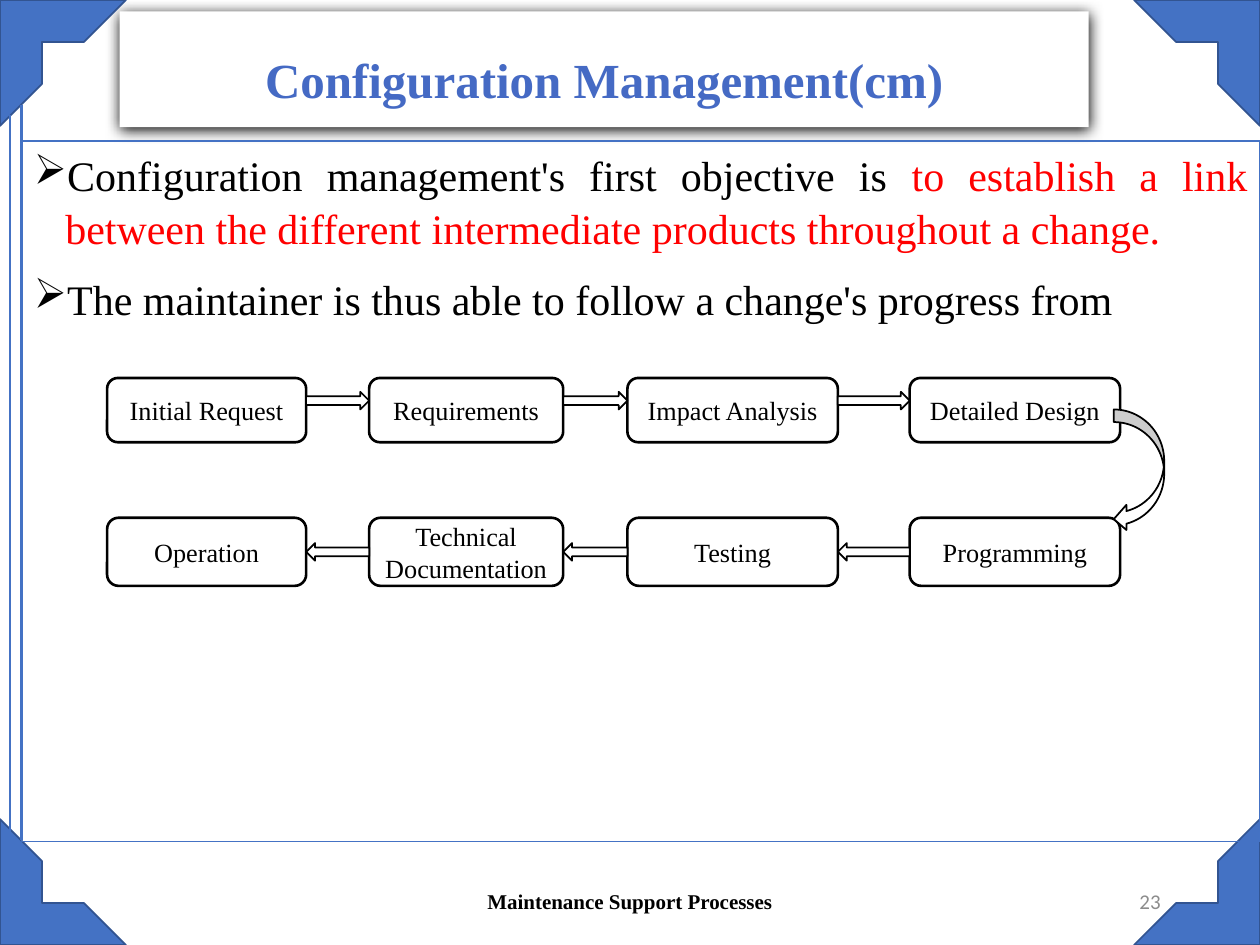
from lxml.etree import SubElement
from pptx import Presentation
from pptx.dml.color import RGBColor
from pptx.enum.shapes import MSO_CONNECTOR, MSO_SHAPE
from pptx.enum.text import MSO_ANCHOR, PP_ALIGN
from pptx.oxml.ns import qn
from pptx.util import Inches, Pt

BLUE = RGBColor(0x44, 0x72, 0xC4)
DARK_BLUE = RGBColor(0x32, 0x54, 0x91)
TITLE_BLUE = RGBColor(0x45, 0x6A, 0xC4)
BLACK = RGBColor(0, 0, 0)
WHITE = RGBColor(0xFF, 0xFF, 0xFF)
RED = RGBColor(0xFF, 0, 0)
GRAY = RGBColor(0x8C, 0x8C, 0x8C)
SERIF = "Times New Roman"

COLUMNS = [(0.85, 1.58), (2.93, 1.54), (4.98, 1.67), (7.22, 1.67)]
FORWARD_STEPS = ["Initial Request", "Requirements", "Impact Analysis", "Detailed Design"]
RETURN_STEPS = ["Operation", "Technical Documentation", "Testing", "Programming"]
BODY = [
    [("Configuration management's first objective is ", BLACK),
     ("to establish a link between the different intermediate products throughout a change.", RED)],
    [("The maintainer is thus able to follow a change's progress from", BLACK)],
]


def style_font(font, size, color, name=SERIF, bold=False):
    font.size = Pt(size)
    font.color.rgb = color
    font.name = name
    font.bold = bold


def add_outlined(slide, preset, left, top, width, height, fill, line, line_width):
    shape = slide.shapes.add_shape(
        preset, Inches(left), Inches(top), Inches(width), Inches(height))
    shape.shadow.inherit = False
    if fill is None:
        shape.fill.background()
    else:
        shape.fill.solid()
        shape.fill.fore_color.rgb = fill
    shape.line.color.rgb = line
    shape.line.width = Pt(line_width)
    return shape


def add_frame(slide, left, top, width, height):
    size = 1
    right, bottom = left + width - size, top + height - size
    corners = [(left, top), (right, top), (right, bottom), (left, bottom)]
    for turn, (x, y) in enumerate(corners):
        corner = add_outlined(
            slide, MSO_SHAPE.HALF_FRAME, x, y, size, size, BLUE, DARK_BLUE, 1)
        corner.rotation = 90 * turn
    for offset, start, end in [(0.08, 0.91, 6.61), (0.17, 0.83, 6.67)]:
        rail = slide.shapes.add_connector(
            MSO_CONNECTOR.STRAIGHT, Inches(left + offset), Inches(top + start),
            Inches(left + offset), Inches(top + end))
        rail.line.color.rgb = BLUE
        rail.line.width = Pt(1.5)
        SubElement(rail._element.spPr, qn("a:effectLst"))


def add_title(slide, left, top, width, height):
    title = slide.shapes.title
    title.left, title.top = Inches(left), Inches(top)
    title.width, title.height = Inches(width), Inches(height)
    title.fill.solid()
    title.fill.fore_color.rgb = WHITE
    effects = SubElement(title._element.spPr, qn("a:effectLst"))
    shadow = SubElement(effects, qn("a:outerShdw"), blurRad=str(Pt(8.5)),
                        dist=str(Pt(1)), dir="5400000", algn="t", rotWithShape="0")
    SubElement(shadow, qn("a:srgbClr"), val=str(BLACK))
    frame = title.text_frame
    frame.text = "Configuration Management(cm)"
    frame.vertical_anchor = MSO_ANCHOR.MIDDLE
    frame.margin_top, frame.margin_bottom = Inches(0.2), Inches(0.05)
    paragraph = frame.paragraphs[0]
    paragraph.alignment = PP_ALIGN.CENTER
    style_font(paragraph.runs[0].font, 28, TITLE_BLUE, bold=True)


def add_body(slide, left, top, width, height):
    body = add_outlined(
        slide, MSO_SHAPE.RECTANGLE, left, top, width, height, None, BLUE, 0.75)
    frame = body.text_frame
    frame.word_wrap = True
    frame.vertical_anchor = MSO_ANCHOR.TOP
    for index, parts in enumerate(BODY):
        paragraph = frame.paragraphs[0] if index == 0 else frame.add_paragraph()
        paragraph.alignment = PP_ALIGN.JUSTIFY
        paragraph.line_spacing = 1.05
        paragraph.space_before = Pt(10 if index else 0)
        properties = paragraph._p.get_or_add_pPr()
        properties.set("marL", str(Inches(0.25)))
        properties.set("indent", str(Inches(-0.25)))
        SubElement(properties, qn("a:buChar"), char="➢")
        for text, color in parts:
            run = paragraph.add_run()
            run.text = text
            style_font(run.font, 24, color)


def add_step(slide, text, left, top, width, height):
    step = add_outlined(
        slide, MSO_SHAPE.ROUNDED_RECTANGLE, left, top, width, height, WHITE, BLACK, 1.5)
    frame = step.text_frame
    frame.text = text
    frame.word_wrap = True
    frame.vertical_anchor = MSO_ANCHOR.MIDDLE
    frame.margin_left = frame.margin_right = Inches(0.08)
    paragraph = frame.paragraphs[0]
    paragraph.alignment = PP_ALIGN.CENTER
    style_font(paragraph.runs[0].font, 15, BLACK)


def add_flow_row(slide, steps, top, height, arrow_middle, rotation):
    for text, (left, width) in zip(steps, COLUMNS):
        add_step(slide, text, left, top, width, height)
    arrow_height = 0.14
    for (left, width), (next_left, _) in zip(COLUMNS, COLUMNS[1:]):
        start = left + width
        arrow = add_outlined(
            slide, MSO_SHAPE.RIGHT_ARROW, start, arrow_middle - arrow_height / 2,
            next_left - start, arrow_height, WHITE, BLACK, 1)
        arrow.rotation = rotation


def add_flow(slide, top):
    add_flow_row(slide, FORWARD_STEPS, top, 0.51, top + 0.18, 0)
    add_flow_row(slide, RETURN_STEPS, top + 1.11, 0.54, top + 1.38, 180)
    add_outlined(slide, MSO_SHAPE.CURVED_LEFT_ARROW, 8.84, top + 0.25, 0.4, 0.97,
                 WHITE, BLACK, 1)


def add_footer_text(slide, text, left, width, alignment, color, font_name, bold):
    box = slide.shapes.add_textbox(
        Inches(left), Inches(6.95), Inches(width), Inches(0.4))
    frame = box.text_frame
    frame.text = text
    frame.word_wrap = True
    frame.vertical_anchor = MSO_ANCHOR.MIDDLE
    paragraph = frame.paragraphs[0]
    paragraph.alignment = alignment
    style_font(paragraph.runs[0].font, 12, color, font_name, bold)


def main():
    presentation = Presentation()
    presentation.slide_width = Inches(10)
    presentation.slide_height = Inches(7.5)
    slide = presentation.slides.add_slide(presentation.slide_layouts[5])
    add_frame(slide, 0, 0, 10, 7.5)
    add_body(slide, 0.17, 1.12, 9.83, 5.56)
    add_flow(slide, 3)
    add_title(slide, 0.95, 0.09, 7.69, 0.92)
    add_footer_text(slide, "Maintenance Support Processes", 3.31, 3.38,
                    PP_ALIGN.CENTER, BLACK, SERIF, True)
    add_footer_text(slide, "23", 7.06, 2.25, PP_ALIGN.RIGHT, GRAY, "Calibri", False)
    presentation.save("out.pptx")


if __name__ == "__main__":
    main()
